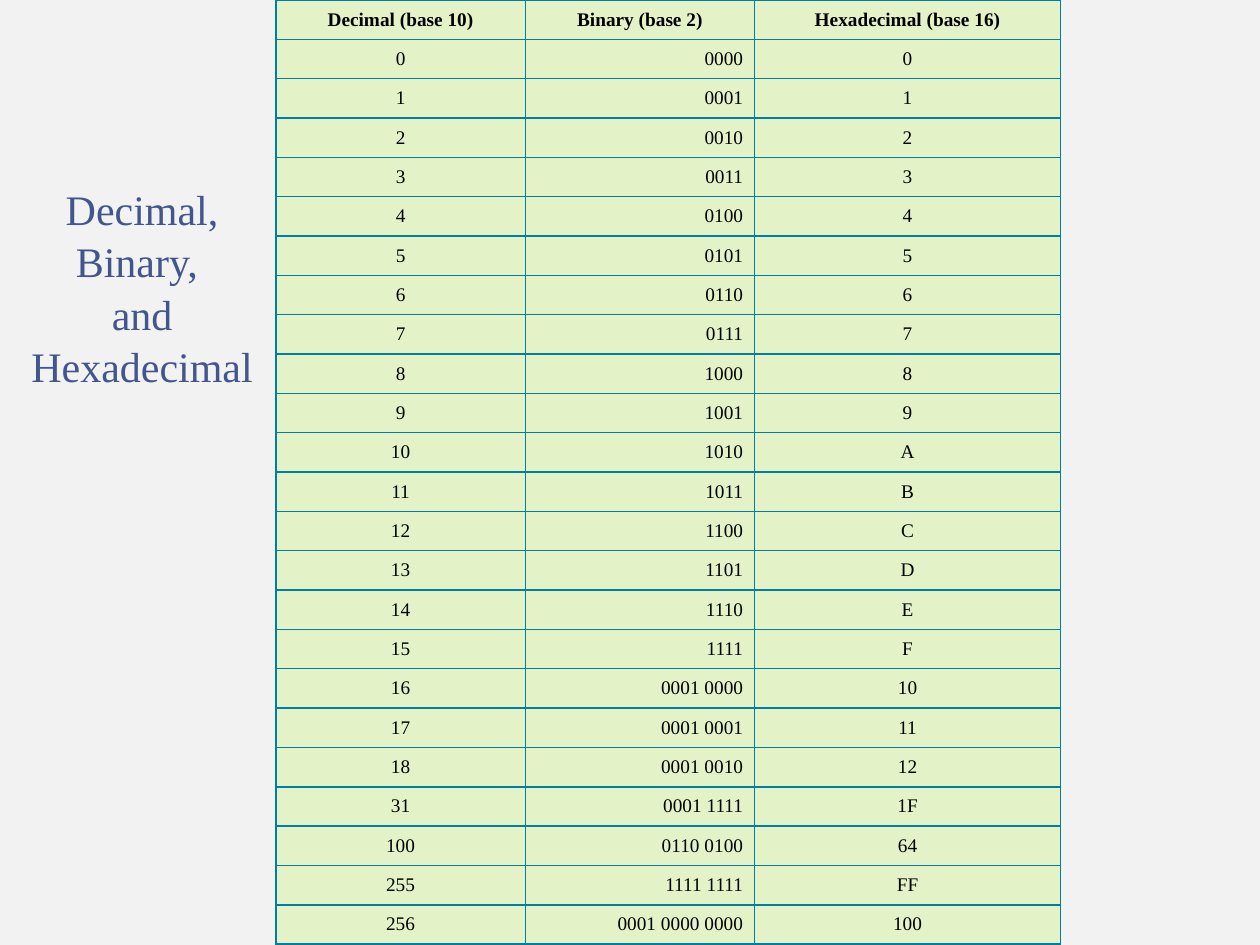
from lxml import etree
from pptx import Presentation
from pptx.dml.color import RGBColor
from pptx.enum.text import MSO_ANCHOR, MSO_AUTO_SIZE, PP_ALIGN
from pptx.oxml.ns import qn
from pptx.util import Cm, Pt

CENTER, RIGHT = PP_ALIGN.CENTER, PP_ALIGN.RIGHT
TOP, MIDDLE = MSO_ANCHOR.TOP, MSO_ANCHOR.MIDDLE
NO_AUTOFIT = MSO_AUTO_SIZE.NONE
TITLE_ONLY = 5

FONT = "Times New Roman"
COLORS = {
    "background": "F2F2F2",
    "title": "42568D",
    "text": "000000",
    "cell": "E3F2C7",
    "border": "007FA3",
}
HEADERS = ["Decimal (base 10)", "Binary (base 2)", "Hexadecimal (base 16)"]
ALIGNMENTS = [CENTER, RIGHT, CENTER]
COLUMN_WIDTHS = [5.03, 4.62, 6.17]
NUMBERS = [*range(19), 31, 100, 255, 256]


def color(name):
    return RGBColor.from_string(COLORS[name])


def write_text(text_frame, text, size, color_name, align=CENTER, bold=False):
    paragraph = text_frame.paragraphs[0]
    paragraph.text = text
    paragraph.alignment = align
    for run in paragraph.runs:
        run.font.name = FONT
        run.font.size = Pt(size)
        run.font.bold = bold
        run.font.color.rgb = color(color_name)
    return paragraph


def number_row(number):
    """Return the number in decimal, in groups of four bits, and in hexadecimal."""
    hexadecimal = f"{number:X}"
    binary = " ".join(f"{int(digit, 16):04b}" for digit in hexadecimal)
    return [str(number), binary, hexadecimal]


def set_borders(cell, width):
    properties = cell._tc.get_or_add_tcPr()
    for index, side in enumerate(("a:lnL", "a:lnR", "a:lnT", "a:lnB")):
        line = etree.Element(qn(side), w=str(Pt(width)))
        fill = etree.SubElement(line, qn("a:solidFill"))
        etree.SubElement(fill, qn("a:srgbClr"), val=COLORS["border"])
        properties.insert(index, line)


def format_cell(cell, text, align, bold):
    cell.vertical_anchor = MIDDLE
    cell.margin_left = cell.margin_right = Cm(0.23)
    cell.margin_top = cell.margin_bottom = Cm(0.1)
    cell.fill.solid()
    cell.fill.fore_color.rgb = color("cell")
    set_borders(cell, 1)
    write_text(cell.text_frame, text, 11, "text", align=align, bold=bold)


def add_number_table(slide, height):
    rows = [HEADERS] + [number_row(number) for number in NUMBERS]
    frame = slide.shapes.add_table(
        len(rows), len(HEADERS), Cm(5.56), 0, Cm(sum(COLUMN_WIDTHS)), height)
    table = frame.table
    table.horz_banding = False
    for column, width in zip(table.columns, COLUMN_WIDTHS):
        column.width = Cm(width)
    for row_index, values in enumerate(rows):
        is_header = row_index == 0
        for column_index, value in enumerate(values):
            align = CENTER if is_header else ALIGNMENTS[column_index]
            format_cell(table.cell(row_index, column_index), value, align, is_header)


def format_title(title):
    title.left, title.top = Cm(0.2), Cm(3.53)
    title.width, title.height = Cm(5.33), Cm(6)
    text_frame = title.text_frame
    text_frame.word_wrap = True
    text_frame.auto_size = NO_AUTOFIT
    text_frame.vertical_anchor = TOP
    paragraph = write_text(
        text_frame, "Decimal, Binary, \vand Hexadecimal", 24, "title")
    paragraph.line_spacing = 1.04
    paragraph.space_after = Pt(12)


def main():
    presentation = Presentation()
    presentation.slide_width, presentation.slide_height = Cm(25.4), Cm(19.05)
    slide = presentation.slides.add_slide(presentation.slide_layouts[TITLE_ONLY])
    slide.background.fill.solid()
    slide.background.fill.fore_color.rgb = color("background")
    add_number_table(slide, presentation.slide_height)
    format_title(slide.shapes.title)
    presentation.save("out.pptx")


if __name__ == "__main__":
    main()
